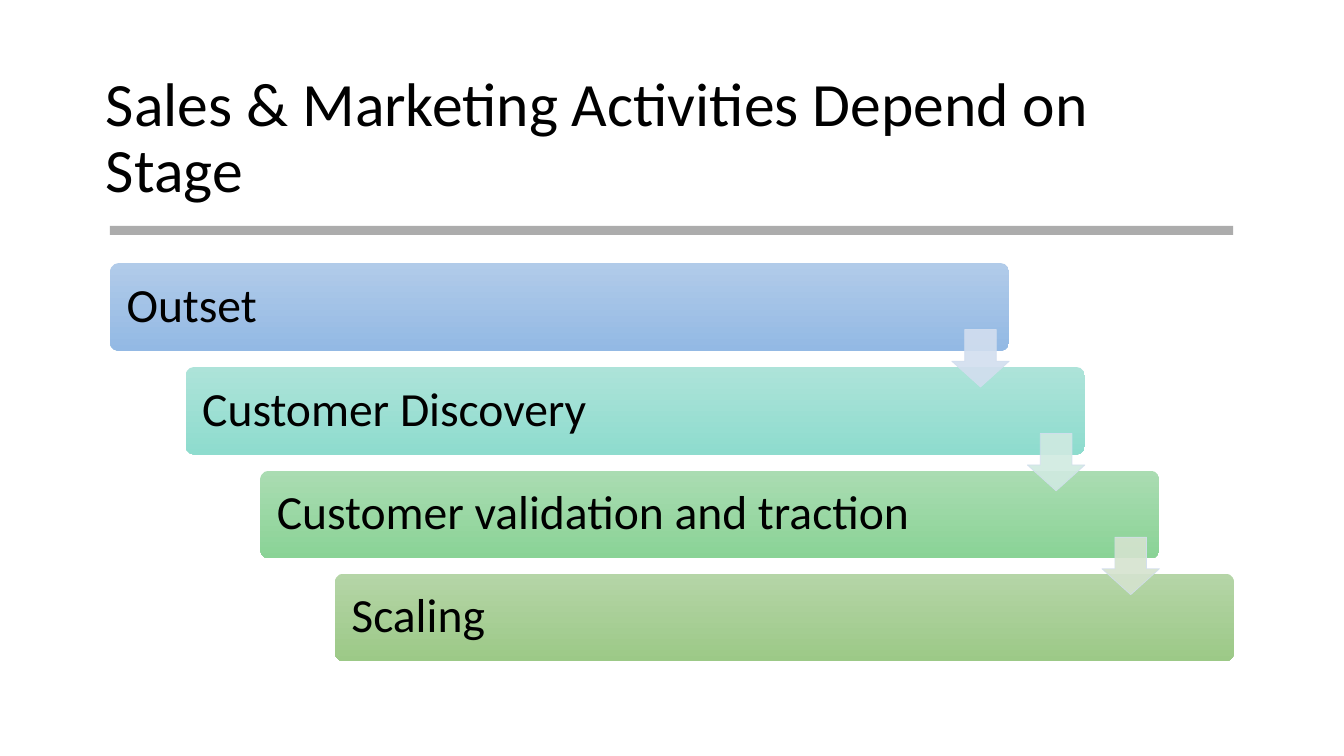
from dataclasses import dataclass

from lxml import etree
from pptx import Presentation
from pptx import util as u
from pptx.dml.color import RGBColor
from pptx.enum import shapes, text
from pptx.oxml.ns import qn

PX = 9144
KIND = shapes.MSO_SHAPE


@dataclass(frozen=True)
class Theme:
    """Colours, font and type sizes."""
    font: str = "Calibri"
    ink: str = "000000"
    rule: str = "808080"
    edge: str = "D2DEEF"
    head: int = 44
    body: int = 34


STAGES = [
    ("Outset", "B1CBE9", "93B9E4"),
    ("Customer Discovery", "ADE3D9", "8EDCCE"),
    ("Customer validation and traction", "AADCB2", "8AD396"),
    ("Scaling", "B5D5A7", "9CC987"),
]
ARROWS = ["D2DEEF", "D0EAE1", "D5E3CF"]


def px(*sizes):
    """Turn lengths in px into EMU."""
    return [u.Emu(size * PX) for size in sizes]


def write(frame, words, size, font, color, pad=None):
    """Put one left-aligned paragraph in a text frame."""
    frame.word_wrap = True
    frame.auto_size = text.MSO_AUTO_SIZE.NONE
    frame.vertical_anchor = text.MSO_ANCHOR.MIDDLE
    if pad is not None:
        frame.margin_left, frame.margin_right = px(pad, pad)
    para = frame.paragraphs[0]
    para.alignment = text.PP_ALIGN.LEFT
    para.line_spacing = 0.9
    run = para.add_run()
    run.text = words
    run.font.size = u.Pt(size)
    run.font.name = font
    run.font.color.rgb = RGBColor.from_string(color)


def paint(fill, color, alpha):
    """Set a solid fill with its opacity in percent."""
    fill.solid()
    fill.fore_color.rgb = RGBColor.from_string(color)
    node = fill._xPr.find(".//" + qn("a:srgbClr"))
    etree.SubElement(node, qn("a:alpha")).set("val", str(alpha * 1000))


class Deck:
    """Hold the theme and the current slide."""

    def __init__(self, theme):
        """Open a deck with one title-only slide."""
        self.theme = theme
        self.prs = Presentation()
        self.prs.slide_width, self.prs.slide_height = px(1333, 750)
        self.slide = self.prs.slides.add_slide(self.prs.slide_layouts[5])

    def title(self, words, *box):
        """Place and fill the title."""
        head = self.slide.shapes.title
        head.left, head.top, head.width, head.height = px(*box)
        write(head.text_frame, words, self.theme.head, self.theme.font, self.theme.ink)

    def shape(self, kind, *box):
        """Add a plain preset shape."""
        item = self.slide.shapes.add_shape(kind, *px(*box))
        item.shadow.inherit = False
        item.line.fill.background()
        return item

    def rule(self, *box):
        """Add the band under the title."""
        paint(self.shape(KIND.RECTANGLE, *box).fill, self.theme.rule, 65)

    def bar(self, words, top, end, *box):
        """Add a rounded stage bar shaded from top to end."""
        item = self.shape(KIND.ROUNDED_RECTANGLE, *box)
        item.adjustments[0] = 0.1
        item.fill.gradient()
        item.fill.gradient_angle = 270
        for stop, color in zip(item.fill.gradient_stops, (top, end)):
            stop.color.rgb = RGBColor.from_string(color)
        write(item.text_frame, words, self.theme.body, self.theme.font, self.theme.ink, pad=14)

    def arrow(self, color, *box):
        """Add a translucent down arrow."""
        item = self.shape(KIND.DOWN_ARROW, *box)
        item.adjustments[0] = 0.55
        item.adjustments[1] = 0.45
        paint(item.fill, color, 90)
        item.line.width = u.Pt(0.5)
        paint(item.line.fill, self.theme.edge, 90)


def main():
    """Build and save the slide."""
    deck = Deck(Theme())
    deck.title("Sales & Marketing Activities Depend on Stage", 95, 66, 1143, 145)
    deck.rule(109, 224, 1114, 9)
    wide, high, side = 892, 87, 57
    spots = [(round(109 + 74.5 * i), round(261 + 102.8 * i)) for i in range(len(STAGES))]
    for (left, top), stage in zip(spots, STAGES):
        deck.bar(*stage, left, top, wide, high)
    for (left, top), color in zip(spots, ARROWS):
        deck.arrow(color, left + wide - side, top + 66, side, side)
    deck.prs.save("out.pptx")


if __name__ == "__main__":
    main()
